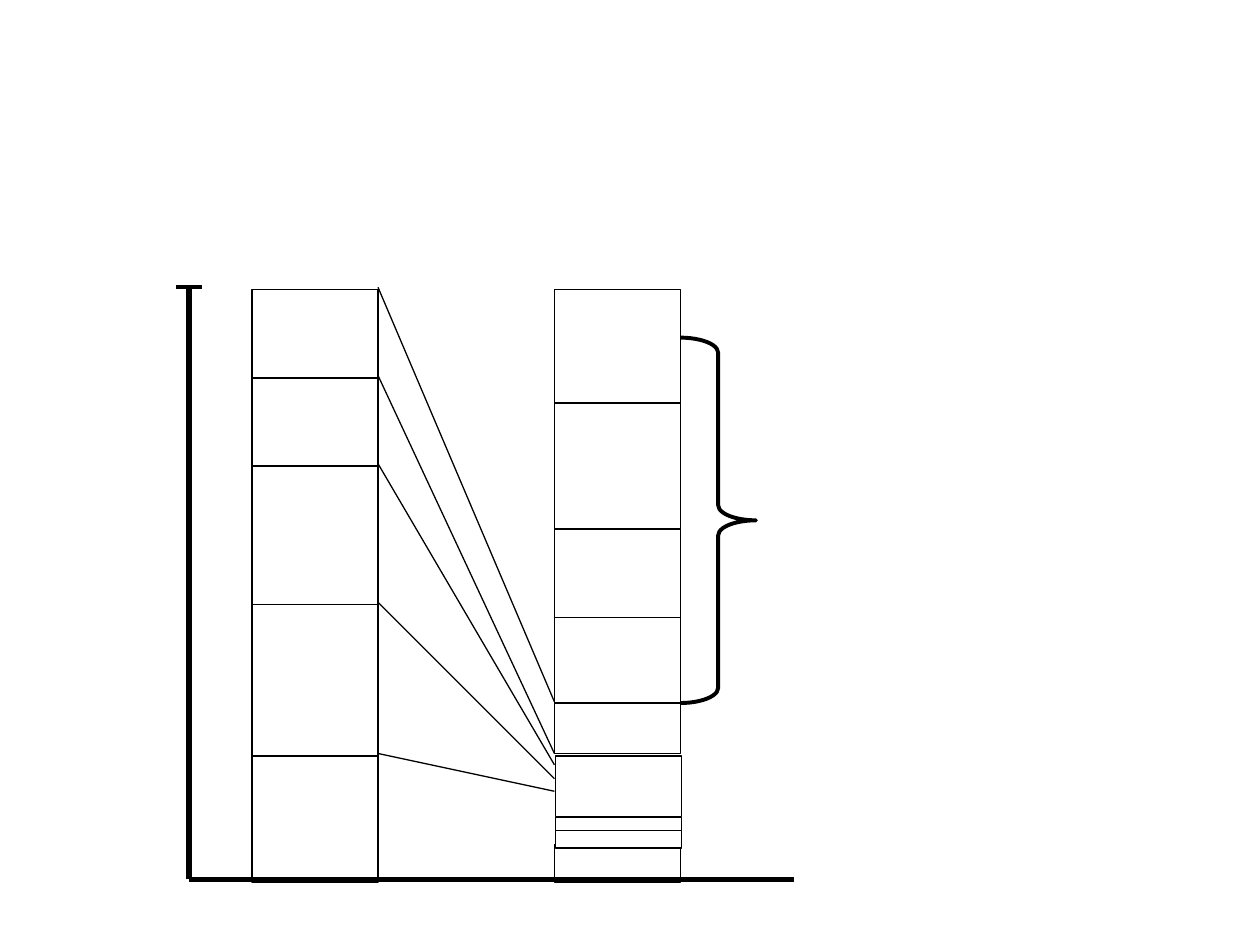
from lxml import etree
from pptx import Presentation
from pptx.dml.color import RGBColor
from pptx.enum import shapes
from pptx.oxml import ns
from pptx.util import Inches, Pt

COLORS = {"line": "000000", "fill": "FFFFFF"}


def style_line(line, width):
    line.color.rgb = RGBColor.from_string(COLORS["line"])
    line.width = Pt(width)


def add_line(slide, start, end, width):
    connector = slide.shapes.add_connector(
        shapes.MSO_CONNECTOR.STRAIGHT, *(Inches(value) for value in (*start, *end)))
    style_line(connector.line, width)
    etree.SubElement(connector._element.spPr, ns.qn("a:effectLst"))


def add_shape(slide, kind, left, top, width, height, line_width):
    shape = slide.shapes.add_shape(
        kind, *(Inches(value) for value in (left, top, width, height)))
    shape.shadow.inherit = False
    style_line(shape.line, line_width)
    return shape


def add_blocks(slide, left, width, blocks):
    for top, height in blocks:
        block = add_shape(slide, shapes.MSO_SHAPE.RECTANGLE, left, top, width, height, 0.75)
        block.fill.solid()
        block.fill.fore_color.rgb = RGBColor.from_string(COLORS["fill"])


def add_stack(slide, left, top, width, heights):
    blocks = []
    for height in heights:
        blocks.append((top, height))
        top += height
    add_blocks(slide, left, width, blocks)


def add_axes(slide, left, top, width, height):
    bottom = top + height
    add_line(slide, (left, bottom), (left + width, bottom), 3)
    add_line(slide, (left, bottom), (left, top), 3)
    add_line(slide, (left - 0.1, top), (left + 0.1, top), 2.25)


def add_mapping(slide, left, width, levels):
    for start, end in levels:
        add_line(slide, (left, start), (left + width, end), 0.75)


def add_brace(slide, left, top, width, height):
    brace = add_shape(slide, shapes.MSO_SHAPE.RIGHT_BRACE, left, top, width, height, 2.25)
    brace.adjustments[0] = 0.2
    brace.fill.background()


def main():
    presentation = Presentation()
    presentation.slide_width = Inches(10)
    presentation.slide_height = Inches(7.5)
    slide = presentation.slides.add_slide(presentation.slide_layouts[6])

    add_stack(slide, 2, 2.3, 1, [0.7, 0.7, 1.1, 1.2, 1])
    add_stack(slide, 4.4, 2.3, 1, [0.9, 1, 0.7, 0.7])
    add_blocks(slide, 4.4, 1, [(5.58, 0.4), (6.7, 0.3)])
    add_blocks(slide, 4.41, 1, [(6.58, 0.15), (6, 0.48), (6.49, 0.1)])
    add_axes(slide, 1.5, 2.28, 4.8, 4.7)
    add_mapping(slide, 3, 1.4, [
        (2.28, 5.57), (3.68, 6.07), (2.98, 5.98), (4.78, 6.18), (5.98, 6.28)])
    add_brace(slide, 5.4, 2.68, 0.6, 2.9)

    presentation.save("out.pptx")


if __name__ == "__main__":
    main()
